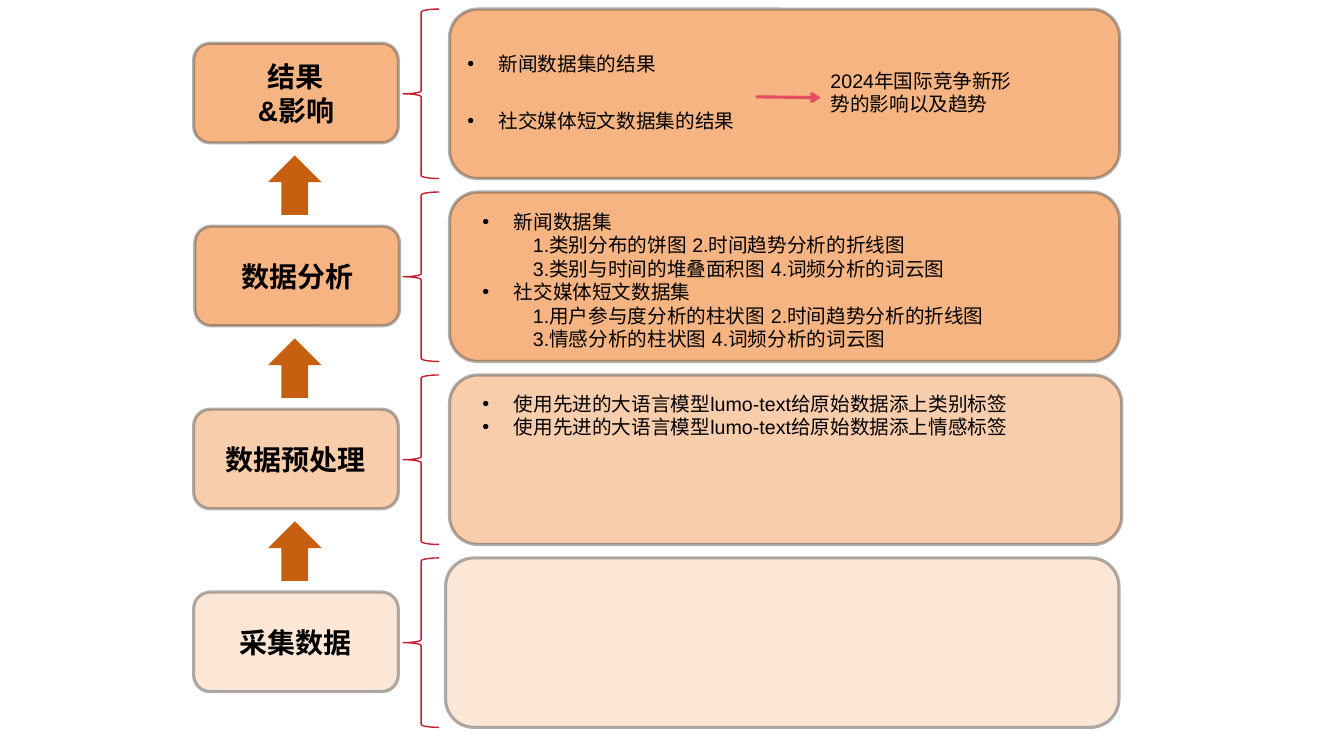
"""Build the four-stage data analysis workflow slide."""
import pptx
import pptx.dml.color
import pptx.enum.shapes
import pptx.enum.text
import pptx.oxml
import pptx.oxml.ns
import pptx.util
from pptx.util import Cm

SHAPE = pptx.enum.shapes.MSO_SHAPE
ALIGN = pptx.enum.text.PP_ALIGN
ANCHOR = pptx.enum.text.MSO_ANCHOR
NS = pptx.oxml.ns.nsdecls("a")

ROW_TOP, ROW_STEP, ROW_HEIGHT = 0.23, 4.61, 4.27
BULLET = dict(margin=0.79, indent=-0.79, bullet=True)
FIRST_LINE = dict(indent=1.27)
NESTED = dict(margin=1.27, level=1)

STAGES = [
    (["结果", "&影响"], 4.88, 11.33, 16.89, "F5B482"),
    (["数据分析"], 4.91, 11.33, 16.89, "F5B482"),
    (["数据预处理"], 4.88, 11.33, 16.94, "F8CDAC"),
    (["采集数据"], 4.88, 11.23, 16.97, "FCE6D5"),
]


def rgb(value):
    """Return the colour for a hex string."""
    return pptx.dml.color.RGBColor.from_string(value)


def set_line(line, color, width, alpha=None):
    """Colour a line and optionally make it translucent."""
    line.color.rgb = rgb(color)
    line.width = pptx.util.Pt(width)
    if alpha:
        solid = line.fill._xPr.find(pptx.oxml.ns.qn("a:solidFill"))
        solid[0].append(pptx.oxml.parse_xml(f'<a:alpha {NS} val="{alpha * 1000}"/>'))


def add_text(frame, text, first=False, size=14, bold=False, align=ALIGN.LEFT,
             spacing=None, margin=0, indent=0, level=0, bullet=False):
    """Write one formatted paragraph into a text frame."""
    paragraph = frame.paragraphs[0] if first else frame.add_paragraph()
    paragraph.alignment = align
    paragraph.level = level
    if spacing:
        paragraph.line_spacing = spacing
    run = paragraph.add_run()
    run.text = text
    font = run.font
    font.size, font.bold, font.name = pptx.util.Pt(size), bold, "Arial"
    font.color.rgb = rgb("000000")
    east_asian = pptx.oxml.parse_xml(f'<a:ea {NS} typeface="Arial"/>')
    run._r.get_or_add_rPr().append(east_asian)
    properties = paragraph._p.get_or_add_pPr()
    properties.set("marL", str(Cm(margin)))
    properties.set("indent", str(Cm(indent)))
    if bullet:
        properties.append(pptx.oxml.parse_xml(f'<a:buFont {NS} typeface="Arial"/>'))
        properties.append(pptx.oxml.parse_xml(f'<a:buChar {NS} char="•"/>'))


def add_shape(slide, kind, left, top, width, height, fill=None):
    """Add a preset shape with an optional fill and no outline."""
    shape = slide.shapes.add_shape(kind, Cm(left), Cm(top), Cm(width), Cm(height))
    shape.shadow.inherit = False
    if fill:
        shape.fill.solid()
        shape.fill.fore_color.rgb = rgb(fill)
    else:
        shape.fill.background()
    shape.line.fill.background()
    return shape


def add_panel(slide, left, top, width, height, fill):
    """Add a rounded panel with a translucent grey outline."""
    panel = add_shape(slide, SHAPE.ROUNDED_RECTANGLE, left, top, width, height, fill)
    set_line(panel.line, "404040", 2.25, alpha=41)
    return panel


def add_stage(slide, row, label_lines, label_left, detail_left, detail_width, fill):
    """Add one stage: its label, brace and detail panel."""
    top = ROW_TOP + row * ROW_STEP
    label = add_panel(slide, label_left, top + 0.86, 5.16, 2.51, fill).text_frame
    label.vertical_anchor = ANCHOR.MIDDLE
    for index, text in enumerate(label_lines):
        add_text(label, text, first=index == 0, size=20, bold=True, align=ALIGN.CENTER)
    brace = add_shape(slide, SHAPE.LEFT_BRACE, 10.16, top, 0.91, ROW_HEIGHT)
    set_line(brace.line, "C81D31", 1)
    add_panel(slide, detail_left, top, detail_width, ROW_HEIGHT, fill)


def add_details(slide, left, top, width, height, lines, spacing=None):
    """Add a text box from pairs of text and paragraph format."""
    box = slide.shapes.add_textbox(Cm(left), Cm(top), Cm(width), Cm(height))
    box.text_frame.word_wrap = True
    for index, (text, layout) in enumerate(lines):
        add_text(box.text_frame, text, first=index == 0, spacing=spacing, **layout)


def add_arrow(slide, start, end, color):
    """Add a straight line with an open arrowhead at its end."""
    arrow = slide.shapes.add_connector(
        pptx.enum.shapes.MSO_CONNECTOR.STRAIGHT, *map(Cm, start + end))
    set_line(arrow.line, color, 2.25)
    arrow.line._get_or_add_ln().append(
        pptx.oxml.parse_xml(f'<a:tailEnd {NS} type="arrow"/>'))
    arrow._element.spPr.append(pptx.oxml.parse_xml(f"<a:effectLst {NS}/>"))


def main():
    """Build and save the slide."""
    deck = pptx.Presentation()
    deck.slide_width, deck.slide_height = Cm(33.87), Cm(19.05)
    slide = deck.slides.add_slide(deck.slide_layouts[6])

    for row, stage in enumerate(STAGES):
        add_stage(slide, row, *stage)
    for gap in range(len(STAGES) - 1):
        step_up = add_shape(slide, SHAPE.RIGHT_ARROW, 6.68, 3.99 + gap * ROW_STEP,
                            1.5, 1.35, "C65F10")
        step_up.rotation = 270

    add_details(slide, 11.91, 5.16, 15.24, 3.66, [
        ("新闻数据集", BULLET),
        ("1.类别分布的饼图 2.时间趋势分析的折线图", FIRST_LINE),
        ("3.类别与时间的堆叠面积图 4.词频分析的词云图", FIRST_LINE),
        ("社交媒体短文数据集", BULLET),
        ("1.用户参与度分析的柱状图 2.时间趋势分析的折线图", NESTED),
        ("3.情感分析的柱状图 4.词频分析的词云图", NESTED),
    ])
    add_details(slide, 11.91, 9.75, 16.31, 3.96, [
        (f"使用先进的大语言模型lumo-text给原始数据添上{kind}标签", BULLET)
        for kind in ("类别", "情感")
    ])
    add_details(slide, 11.53, 0.36, 7.52, 4.17, [
        ("新闻数据集的结果", BULLET),
        ("社交媒体短文数据集的结果", BULLET),
    ], spacing=2.4)
    add_details(slide, 20.68, 1.6, 5.36, 1.52, [("2024年国际竞争新形势的影响以及趋势", {})])
    add_arrow(slide, (19.05, 2.44), (20.68, 2.46), "E54C5E")

    deck.save("out.pptx")


if __name__ == "__main__":
    main()
